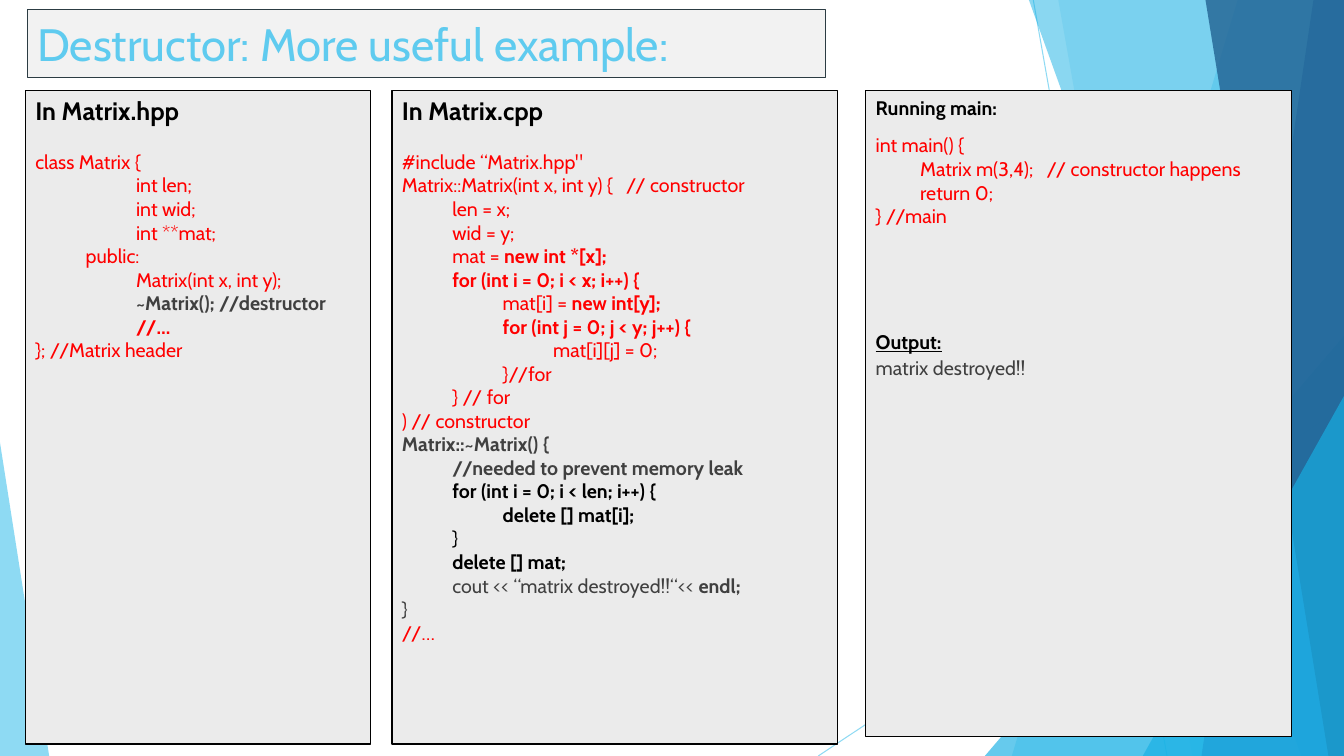
"""Build the slide on a useful destructor example."""
from dataclasses import dataclass

from lxml import etree
from pptx import Presentation
from pptx.dml.color import RGBColor
from pptx.enum.shapes import MSO_CONNECTOR, MSO_SHAPE
from pptx.enum.text import MSO_ANCHOR, PP_ALIGN
from pptx.oxml.ns import qn
from pptx.util import Cm, Pt

RECT = MSO_SHAPE.RECTANGLE
TRIANGLE = MSO_SHAPE.ISOSCELES_TRIANGLE
STRAIGHT = MSO_CONNECTOR.STRAIGHT
MIDDLE, TOP = MSO_ANCHOR.MIDDLE, MSO_ANCHOR.TOP
LEFT = PP_ALIGN.LEFT
WIDE, HIGH = 33.87, 19.05


@dataclass(frozen=True)
class Theme:
    font: str = "Cabin"
    title: float = 32.4
    head: float = 18
    code: float = 14
    rule: float = 0.75
    sky: str = "5FCBEF"
    cyan: str = "17B0E4"
    blue: str = "2E83C3"
    navy: str = "226292"
    pale: str = "F2F2F2"
    panel: str = "EBEBEB"
    edge: str = "2C3C43"
    black: str = "000000"
    red: str = "FF0000"
    gray: str = "404040"


THEME = Theme()
BLACK, RED, GRAY = THEME.black, THEME.red, THEME.gray

# Each line: indent level, colour, then plain text with any bold part after "|".
HEADER = [
    (0, RED, "class Matrix {"),
    (2, RED, "int len;"),
    (2, RED, "int wid;"),
    (2, RED, "int **mat;"),
    (1, RED, "public:"),
    (2, RED, "Matrix(int x, int y);"),
    (2, GRAY, "|~Matrix(); //destructor"),
    (2, RED, "|//…"),
    (0, RED, "}; //Matrix header"),
]
SOURCE = [
    (0, RED, "#include “Matrix.hpp\""),
    (0, RED, "Matrix::Matrix(int x, int y) {   // constructor"),
    (1, RED, "len = x;"),
    (1, RED, "wid = y;"),
    (1, RED, "mat = |new int *[x];"),
    (1, RED, "|for (int i = 0; i < x; i++) {"),
    (2, RED, "mat[i] = |new int[y];"),
    (2, RED, "|for (int j = 0; j < y; j++) {"),
    (3, RED, "mat[i][j] = 0;"),
    (2, RED, "}//for"),
    (1, RED, "} // for"),
    (0, RED, ") // constructor"),
    (0, GRAY, "|Matrix::~Matrix() {"),
    (1, GRAY, "|//needed to prevent memory leak"),
    (1, BLACK, "|for (int i = 0; i < len; i++) {"),
    (2, BLACK, "|delete [] mat[i];"),
    (1, BLACK, "}"),
    (1, BLACK, "|delete [] mat;"),
    (1, GRAY, "cout << “matrix destroyed!!“<< |endl;"),
    (0, GRAY, "}"),
    (0, RED, "//…"),
]
MAIN = [
    (0, RED, "int main() {"),
    (1, RED, "Matrix m(3,4);   // constructor happens"),
    (1, RED, "return 0;"),
    (0, RED, "} //main"),
]


def write(frame, text, *, size, color, before=0, indent=0, under=False):
    """Add one paragraph, with the part after a bar in bold."""
    para = frame.paragraphs[0]
    if para.runs:
        para = frame.add_paragraph()
    para.alignment = LEFT
    if before:
        para.space_before = Pt(before)
    if indent:
        para._p.get_or_add_pPr().set("marL", str(Cm(indent)))
    plain, _, strong = text.partition("|")
    for part, bold in ((plain, False), (strong, True)):
        if part:
            run = para.add_run()
            run.text = part
            font = run.font
            font.name, font.size = THEME.font, Pt(size)
            font.bold, font.underline = bold, under
            font.color.rgb = RGBColor.from_string(color)


def paint(fill, color, alpha=100):
    """Give a fill a solid colour and an opacity in percent."""
    fill.solid()
    fill.fore_color.rgb = RGBColor.from_string(color)
    if alpha < 100:
        node = fill._xPr.find(".//" + qn("a:srgbClr"))
        etree.SubElement(node, qn("a:alpha")).set("val", str(alpha * 1000))


class Deck:
    """Hold the theme and the current slide."""

    def __init__(self, theme):
        """Start a deck with one blank slide."""
        self.theme = theme
        self.show = Presentation()
        self.show.slide_width, self.show.slide_height = Cm(WIDE), Cm(HIGH)
        self.slide = self.show.slides.add_slide(self.show.slide_layouts[6])
        self.shapes = self.slide.shapes

    def line(self, *ends):
        """Draw a thin, translucent line."""
        line = self.shapes.add_connector(STRAIGHT, *map(Cm, ends))
        line.line.width = Pt(self.theme.rule)
        paint(line.line.fill, self.theme.sky, 70)
        etree.SubElement(line._element.spPr, qn("a:effectLst"))

    def facet(self, top, base, color, alpha):
        """Fill the area right of a slanted edge."""
        pen = self.shapes.build_freeform(Cm(top), 0)
        pen.add_line_segments([(Cm(x), Cm(y)) for x, y in (
            (WIDE, 0), (WIDE, HIGH), (base, HIGH))])
        self.plain(pen.convert_to_shape(), color, alpha)

    def wedge(self, left, top, wide, apex, color, alpha):
        """Draw a triangle that stands on the bottom edge."""
        shape = self.shapes.add_shape(
            TRIANGLE, Cm(left), Cm(top), Cm(wide), Cm(HIGH - top))
        shape.adjustments[0] = apex
        self.plain(shape, color, alpha)

    def plain(self, shape, color, alpha):
        """Fill a shape and remove its outline and shadow."""
        paint(shape.fill, color, alpha)
        shape.line.fill.background()
        shape.shadow.inherit = False

    def box(self, left, top, wide, high, *, fill, edge, anchor=TOP):
        """Draw an outlined box and return its text frame."""
        shape = self.shapes.add_shape(RECT, *map(Cm, (left, top, wide, high)))
        self.plain(shape, fill, 100)
        paint(shape.line.fill, edge)
        shape.line.width = Pt(self.theme.rule)
        frame = shape.text_frame
        frame.word_wrap, frame.vertical_anchor = True, anchor
        return frame

    def panel(self, left, wide, high, head, lines, *, size, gap, step=1.27):
        """Draw a headed panel of code and return its text frame."""
        theme = self.theme
        frame = self.box(left, 2.29, wide, high, fill=theme.panel, edge=BLACK)
        write(frame, "|" + head, size=size, color=BLACK)
        for row, (level, color, text) in enumerate(lines):
            write(frame, text, size=theme.code, color=color,
                  before=0 if row else gap, indent=level * step)
        return frame


def main():
    """Draw the slide and save it."""
    deck, theme = Deck(THEME), THEME
    deck.line(26.04, 0, 29.41, HIGH)
    deck.line(WIDE, 10.24, 20.62, HIGH)
    deck.facet(31.19, 25.5, theme.sky, 36)
    deck.facet(26.67, 30.05, theme.sky, 20)
    deck.wedge(24.82, 8.46, 9.05, 1, theme.cyan, 66)
    deck.facet(25.93, 32.79, theme.cyan, 50)
    deck.facet(33.1, 30.28, theme.blue, 70)
    deck.facet(30.38, 33.48, theme.navy, 80)
    deck.wedge(28.8, 9.98, 5.07, 1, theme.cyan, 66)
    deck.wedge(0, 11.15, 1.24, 0, theme.sky, 70)

    title = deck.box(0.69, 0.25, 20.12, 1.7, fill=theme.pale, edge=theme.edge,
                     anchor=MIDDLE)
    write(title, "Destructor: More useful example:", size=theme.title,
          color=theme.sky)
    deck.panel(0.64, 8.69, 16.46, "In Matrix.hpp", HEADER,
               size=theme.head, gap=17)
    run = deck.panel(21.82, 10.74, 16.28, "Running main:", MAIN,
                     size=theme.code, gap=10, step=1.12)
    write(run, "|Output:", size=theme.code, color=BLACK, before=73, under=True)
    write(run, "matrix destroyed!!", size=theme.code, color=GRAY, before=2)
    deck.panel(9.88, 11.23, 16.46, "In Matrix.cpp", SOURCE,
               size=theme.head, gap=17)
    deck.show.save("out.pptx")


if __name__ == "__main__":
    main()
